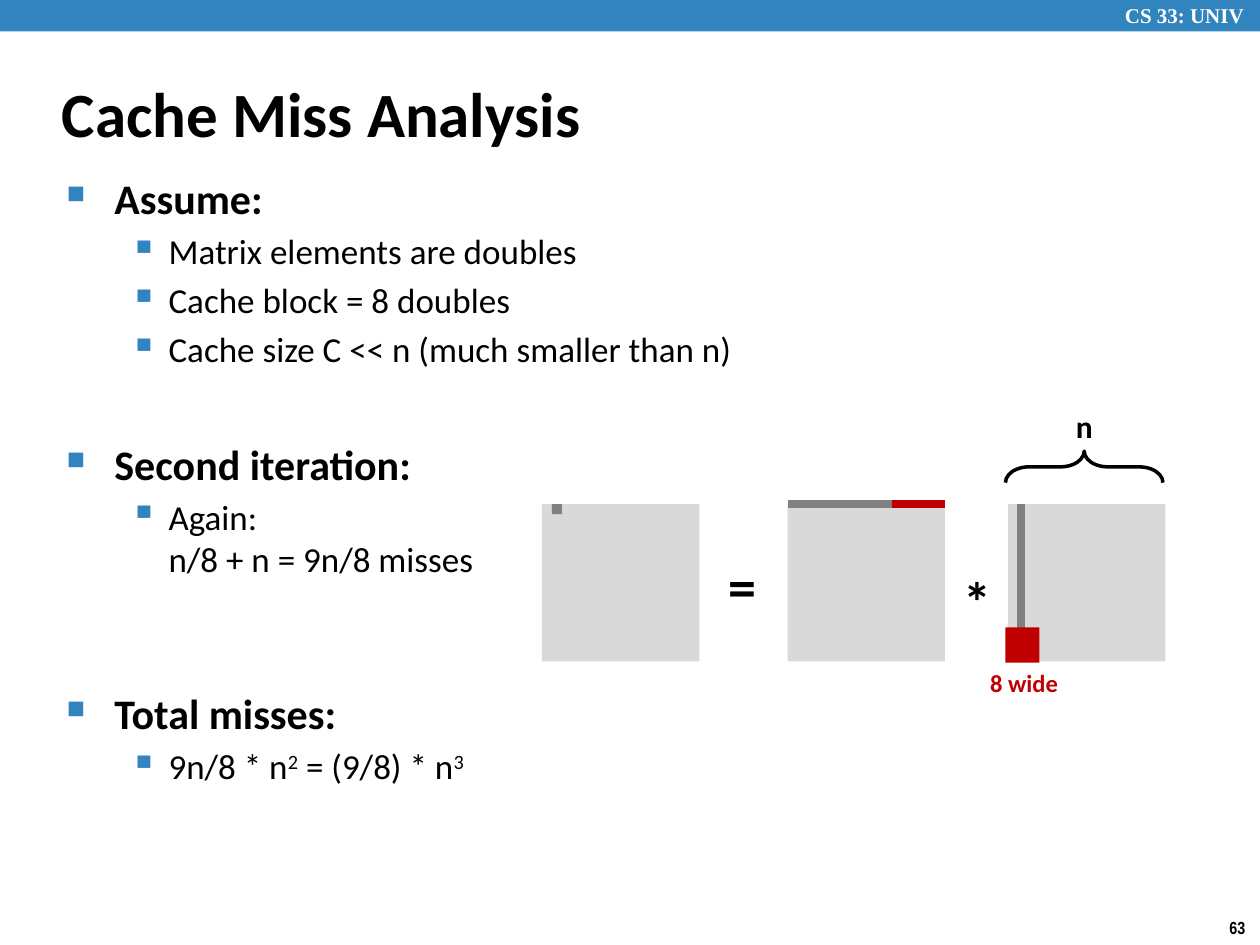
from lxml import etree
from pptx import Presentation, util as u
from pptx.dml.color import RGBColor
from pptx.enum import shapes, text
from pptx.oxml import ns

BLUE, BLACK, WHITE = "3284BF", "000000", "FFFFFF"
LIGHT, GRAY, RED = "D9D9D9", "808080", "C00000"
SIDE, TOP = 1.25, 4
RESULT, LEFT_FACTOR, RIGHT_FACTOR = 4.3, 6.25, 8
HEADING, POINT = 24, 20
OUTLINE = [
    (HEADING, 0, ["Assume:"]),
    (POINT, 4, ["Matrix elements are doubles"]),
    (POINT, 4, ["Cache block = 8 doubles"]),
    (POINT, 4, ["Cache size C << n (much smaller than n)"]),
    (HEADING, 39, ["Second iteration:"]),
    (POINT, 4, ["Again:\vn/8 + n = 9n/8 misses"]),
    (HEADING, 61.6, ["Total misses:"]),
    (POINT, 4, ["9n/8 * n", "2", " = (9/8) * n", "3"]),
]


def color(value):
    """Turn a hex string into a colour."""
    return RGBColor.from_string(value)


def inches(*values):
    """Convert numbers to inch lengths."""
    return [u.Inches(value) for value in values]


def style(para, size, fill=BLACK, bold=True, font="Calibri"):
    """Format every run of a paragraph."""
    for span in para.runs:
        span.font.size, span.font.bold, span.font.name = u.Pt(size), bold, font
        span.font.color.rgb = color(fill)


def indent(para, margin, hanging):
    """Set the left margin and hanging indent of a paragraph."""
    props = para._p.get_or_add_pPr()
    props.set("marL", str(u.Inches(margin)))
    props.set("indent", str(-u.Inches(hanging)))
    return props


def bullet(para, margin, hanging, symbol, percent):
    """Give a paragraph a blue hanging bullet."""
    props = indent(para, margin, hanging)
    tint = etree.SubElement(props, ns.qn("a:buClr"))
    etree.SubElement(tint, ns.qn("a:srgbClr"), val=BLUE)
    etree.SubElement(props, ns.qn("a:buSzPct"), val=str(percent * 1000))
    etree.SubElement(props, ns.qn("a:buChar"), char=symbol)


def add_title(page, wording):
    """Place and format the title placeholder."""
    title = page.shapes.title
    title.left, title.top, title.width, title.height = inches(0.39, 0.48, 8.3, 0.83)
    title.text_frame.text = wording
    title.text_frame.vertical_anchor = text.MSO_ANCHOR.MIDDLE
    para = title.text_frame.paragraphs[0]
    para.alignment = text.PP_ALIGN.LEFT
    indent(para, 0.13, 0.13)
    style(para, 36)


def add_label(page, wording, place, size, fill=BLACK, font="Calibri"):
    """Add a one-line bold label."""
    frame = page.shapes.add_textbox(*inches(*place)).text_frame
    frame.word_wrap = False
    frame.text = wording
    style(frame.paragraphs[0], size, fill, font=font)


def add_outline(page):
    """Add the two-level bulleted outline."""
    frame = page.shapes.add_textbox(*inches(0.43, 1.32, 8.64, 3.34)).text_frame
    frame.word_wrap = True
    for row, (size, gap, parts) in enumerate(OUTLINE):
        para = frame.add_paragraph() if row else frame.paragraphs[0]
        para.text = parts[0]
        for part in parts[1:]:
            para.add_run().text = part
        para.space_before = u.Pt(gap)
        style(para, size, bold=size == HEADING)
        for span in para.runs[1::2] if len(parts) > 1 else []:
            span._r.get_or_add_rPr().set("baseline", "30000")
        if size == HEADING:
            bullet(para, 0.38, 0.38, "■", 60)
        else:
            para.level = 1
            bullet(para, 0.81, 0.31, "▪", 110)


def add_block(page, place, fill):
    """Add a plain filled rectangle."""
    box = page.shapes.add_shape(shapes.MSO_SHAPE.RECTANGLE, *inches(*place))
    box.shadow.inherit = False
    box.fill.solid()
    box.fill.fore_color.rgb = color(fill)
    box.line.fill.background()


def add_strip(page, start, end, fill):
    """Add a thick line marking matrix elements."""
    strip = page.shapes.add_connector(
        shapes.MSO_CONNECTOR.STRAIGHT, *inches(*start, *end))
    strip.line.color.rgb = color(fill)
    strip.line.width = u.Pt(4.5)
    etree.SubElement(strip._element.spPr, ns.qn("a:effectLst"))


def add_brace(page):
    """Add the brace spanning the width of the right matrix."""
    brace = page.shapes.add_shape(
        shapes.MSO_SHAPE.LEFT_BRACE, *inches(8.48, 3.08, 0.25, SIDE))
    brace.shadow.inherit = False
    brace.adjustments[0], brace.adjustments[1] = 0.75, 0.5
    brace.rotation = 90
    brace._element.spPr.xfrm.set("flipV", "1")
    brace.fill.background()
    brace.line.color.rgb = color(BLACK)
    brace.line.width = u.Pt(2)


def add_diagram(page):
    """Draw the matrix product with its accessed elements."""
    add_brace(page)
    add_label(page, "n", (8.44, 3.18, 0.34, 0.4), 18)
    for left in (RESULT, LEFT_FACTOR, RIGHT_FACTOR):
        add_block(page, (left, TOP, SIDE, SIDE), LIGHT)
    row_end, column = LEFT_FACTOR + SIDE, RIGHT_FACTOR + 0.1
    add_strip(page, (LEFT_FACTOR, TOP), (row_end, TOP), GRAY)
    add_strip(page, (column, TOP), (column, TOP + SIDE), GRAY)
    add_label(page, "*", (7.55, 4.45, 0.43, 0.64), 32)
    add_label(page, "=", (5.68, 4.33, 0.43, 0.64), 32)
    add_block(page, (RESULT + 0.08, TOP, 0.08, 0.08), GRAY)
    add_strip(page, (row_end - SIDE / 3, TOP), (row_end, TOP), RED)
    add_block(page, (7.98, 4.98, 0.27, 0.28), RED)
    add_label(page, "8 wide", (7.76, 5.25, 0.74, 0.34), 14, RED)


def main():
    """Build and save the slide."""
    deck = Presentation()
    deck.slide_width, deck.slide_height = inches(10, 7.5)
    page = deck.slides.add_slide(deck.slide_layouts[5])
    add_block(page, (0, 0, 10, 0.25), BLUE)
    add_label(page, "CS 33: UNIV", (8.83, -0.03, 1.24, 0.3), 12, WHITE, "Times New Roman")
    add_label(page, "63", (9.66, 7.23, 0.34, 0.27), 10, font="Arial Narrow")
    add_title(page, "Cache Miss Analysis")
    add_outline(page)
    add_diagram(page)
    deck.save("out.pptx")


if __name__ == "__main__":
    main()
